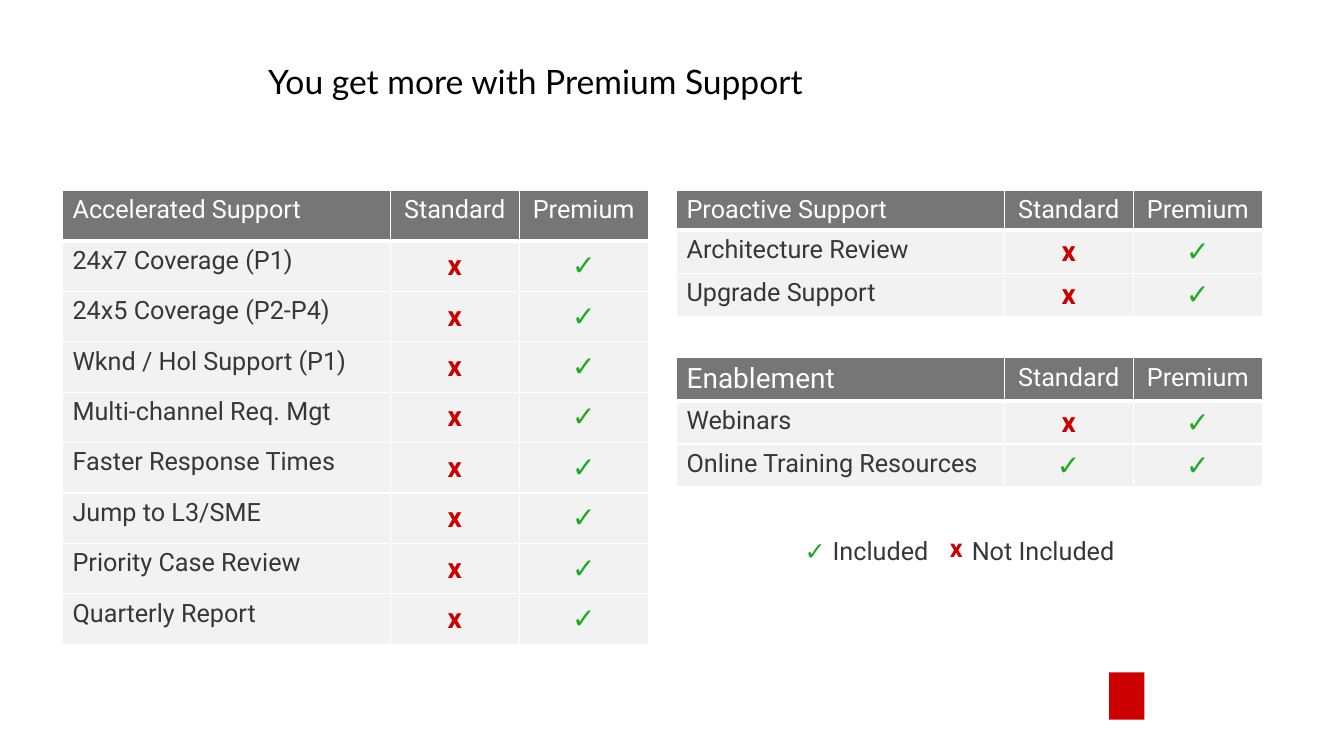
from dataclasses import dataclass

import lxml.etree
import pptx
import pptx.dml.color
import pptx.enum.shapes
import pptx.enum.text
import pptx.oxml.ns
import pptx.presentation
import pptx.slide
import pptx.table
import pptx.text.text
import pptx.util
from pptx.util import Inches

Align = pptx.enum.text.PP_ALIGN
Anchor = pptx.enum.text.MSO_ANCHOR


@dataclass(frozen=True)
class Theme:
    title_font: str = "Lato"
    body_font: str = "Roboto"
    title_size: int = 24
    text_size: int = 18
    large_size: int = 20
    black: str = "000000"
    white: str = "FFFFFF"
    text: str = "373737"
    header: str = "767676"
    row: str = "F2F2F2"
    included: str = "1AAC1E"
    excluded: str = "CC0000"


THEME = Theme()
CHECK = "✓"
CROSS = "x"
MARK_COLORS = {CHECK: THEME.included, CROSS: THEME.excluded}
COLUMN_WIDTHS = (3.25, 1.28, 1.28)


@dataclass(frozen=True)
class Feature:
    name: str
    standard: str = CROSS
    premium: str = CHECK


@dataclass(frozen=True)
class SupportTable:
    heading: str
    left: float
    top: float
    height: float
    row_height: float
    features: tuple[Feature, ...]
    heading_size: int = THEME.text_size


@dataclass(frozen=True)
class LegendText:
    text: str
    left: float
    top: float
    width: float
    height: float


TABLES = (
    SupportTable("Accelerated Support", 0.62, 1.89, 4.5, 0.5, (
        Feature("24x7 Coverage (P1)"),
        Feature("24x5 Coverage (P2-P4)"),
        Feature("Wknd / Hol Support (P1)"),
        Feature("Multi-channel Req. Mgt"),
        Feature("Faster Response Times"),
        Feature("Jump to L3/SME"),
        Feature("Priority Case Review"),
        Feature("Quarterly Report"),
    )),
    SupportTable("Enablement", 6.71, 3.55, 1.3, 0.32, (
        Feature("Webinars"),
        Feature("Online Training Resources", standard=CHECK),
    ), THEME.large_size),
    SupportTable("Proactive Support", 6.71, 1.89, 1.27, 0.32, (
        Feature("Architecture Review"),
        Feature("Upgrade Support"),
    )),
)

LEGEND = (
    LegendText(CHECK, 7.82, 5.26, 0.53, 0.41),
    LegendText(CROSS, 9.22, 5.23, 0.53, 0.41),
    LegendText("Included", 8.16, 5.26, 1.18, 0.4),
    LegendText("Not Included", 9.54, 5.26, 1.64, 0.4),
)


def rgb(color: str) -> pptx.dml.color.RGBColor:
    return pptx.dml.color.RGBColor.from_string(color)


def format_paragraph(paragraph: pptx.text.text._Paragraph, size: int, color: str,
                     bold: bool = False, centered: bool = False,
                     font: str = THEME.body_font) -> None:
    paragraph.alignment = Align.CENTER if centered else Align.LEFT
    paragraph.font.name = font
    paragraph.font.size = pptx.util.Pt(size)
    paragraph.font.bold = bold
    paragraph.font.color.rgb = rgb(color)


def set_borders(cell: pptx.table._Cell, top: int, bottom: int) -> None:
    properties = cell._tc.get_or_add_tcPr()
    widths = {"a:lnL": 1, "a:lnR": 1, "a:lnT": top, "a:lnB": bottom}
    for position, (tag, width) in enumerate(widths.items()):
        line = lxml.etree.Element(pptx.oxml.ns.qn(tag), w=str(pptx.util.Pt(width)))
        fill = lxml.etree.SubElement(line, pptx.oxml.ns.qn("a:solidFill"))
        lxml.etree.SubElement(fill, pptx.oxml.ns.qn("a:srgbClr"), val=THEME.white)
        properties.insert(position, line)


def fill_cell(cell: pptx.table._Cell, text: str, row: int, column: int,
              heading_size: int) -> None:
    is_header = row == 0
    is_mark = text in MARK_COLORS
    cell.text = text
    cell.fill.solid()
    cell.fill.fore_color.rgb = rgb(THEME.header if is_header else THEME.row)
    cell.vertical_anchor = Anchor.MIDDLE if is_mark else Anchor.TOP
    set_borders(cell, top=3 if row == 1 else 1, bottom=3 if is_header else 1)
    size = THEME.large_size if is_mark else THEME.text_size
    if is_header and column == 0:
        size = heading_size
    color = THEME.white if is_header else MARK_COLORS.get(text, THEME.text)
    format_paragraph(cell.text_frame.paragraphs[0], size, color, is_mark, column > 0)


def draw_table(slide: pptx.slide.Slide, support: SupportTable) -> None:
    rows = [(support.heading, "Standard", "Premium")]
    rows += [(feature.name, feature.standard, feature.premium)
             for feature in support.features]
    shape = slide.shapes.add_table(
        len(rows), len(COLUMN_WIDTHS), Inches(support.left), Inches(support.top),
        Inches(sum(COLUMN_WIDTHS)), Inches(support.height))
    table = shape.table
    table.first_row = False
    table.horz_banding = False
    for column, width in zip(table.columns, COLUMN_WIDTHS):
        column.width = Inches(width)
    for row_index, texts in enumerate(rows):
        table.rows[row_index].height = Inches(support.row_height)
        for column_index, text in enumerate(texts):
            fill_cell(table.cell(row_index, column_index), text, row_index,
                      column_index, support.heading_size)
    shape.height = Inches(support.height)


def draw_legend_text(slide: pptx.slide.Slide, item: LegendText) -> None:
    shape = slide.shapes.add_textbox(Inches(item.left), Inches(item.top),
                                     Inches(item.width), Inches(item.height))
    frame = shape.text_frame
    frame.word_wrap = True
    frame.auto_size = pptx.enum.text.MSO_AUTO_SIZE.SHAPE_TO_FIT_TEXT
    frame.text = item.text
    is_mark = item.text in MARK_COLORS
    format_paragraph(frame.paragraphs[0], THEME.text_size,
                     MARK_COLORS.get(item.text, THEME.text), is_mark, is_mark)


def draw_title(slide: pptx.slide.Slide) -> None:
    title = slide.shapes.title
    title.left, title.top = Inches(2.56), Inches(0.57)
    title.width, title.height = Inches(8.96), Inches(0.52)
    frame = title.text_frame
    frame.text = "You get more with Premium Support"
    frame.auto_size = pptx.enum.text.MSO_AUTO_SIZE.NONE
    frame.vertical_anchor = Anchor.MIDDLE
    frame.paragraphs[0].line_spacing = 0.9
    format_paragraph(frame.paragraphs[0], THEME.title_size, THEME.black,
                     font=THEME.title_font)


def draw_emblem(slide: pptx.slide.Slide) -> None:
    emblem = slide.shapes.add_shape(pptx.enum.shapes.MSO_SHAPE.RECTANGLE, Inches(11),
                                    Inches(6.67), Inches(0.35), Inches(0.47))
    emblem.shadow.inherit = False
    emblem.fill.solid()
    emblem.fill.fore_color.rgb = rgb(THEME.excluded)
    emblem.line.fill.background()


def main() -> None:
    presentation = pptx.Presentation()
    presentation.slide_width = Inches(13.33)
    presentation.slide_height = Inches(7.5)
    slide = presentation.slides.add_slide(presentation.slide_layouts[5])
    draw_emblem(slide)
    for support in TABLES:
        draw_table(slide, support)
    for item in LEGEND:
        draw_legend_text(slide, item)
    draw_title(slide)
    presentation.save("out.pptx")


if __name__ == "__main__":
    main()
